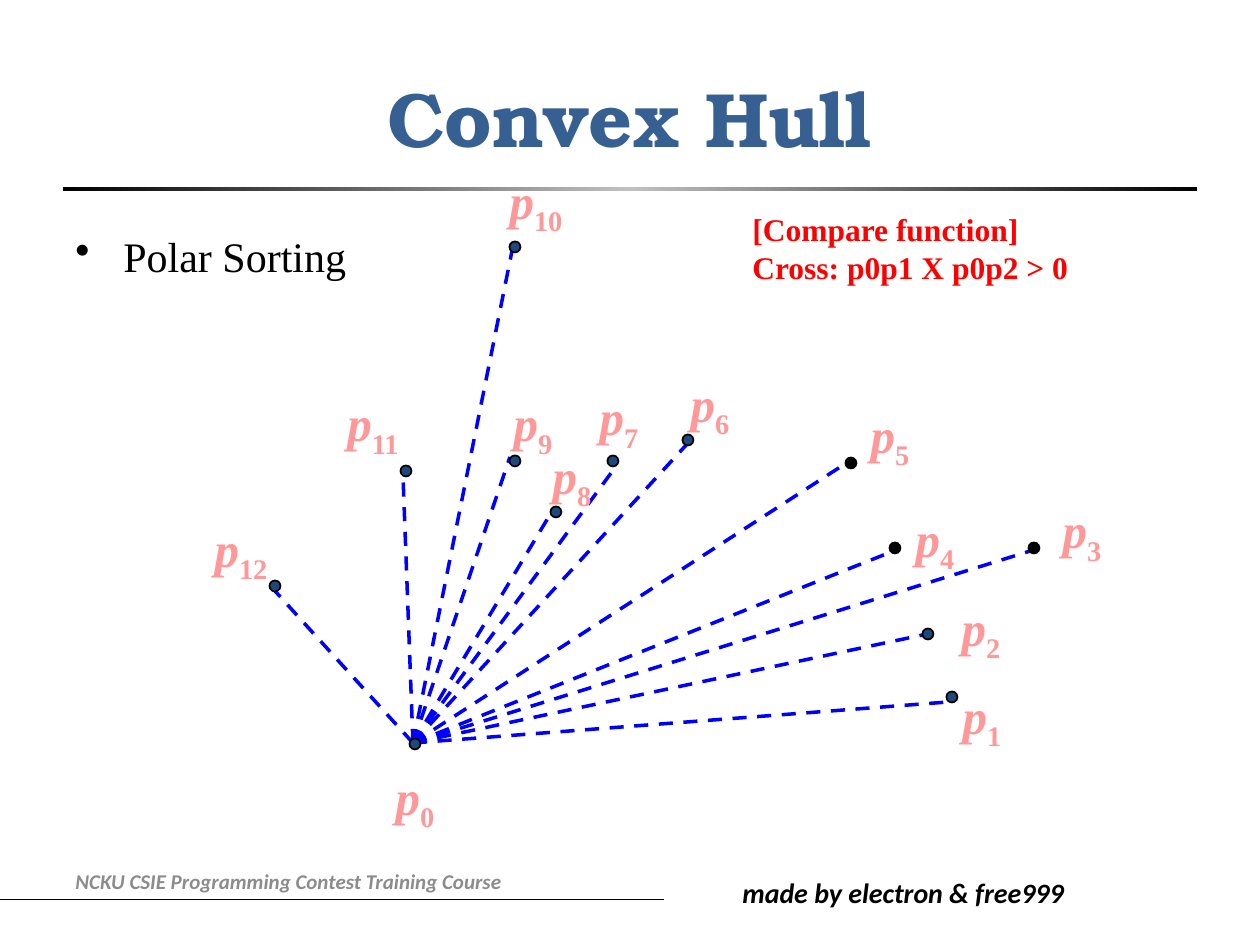
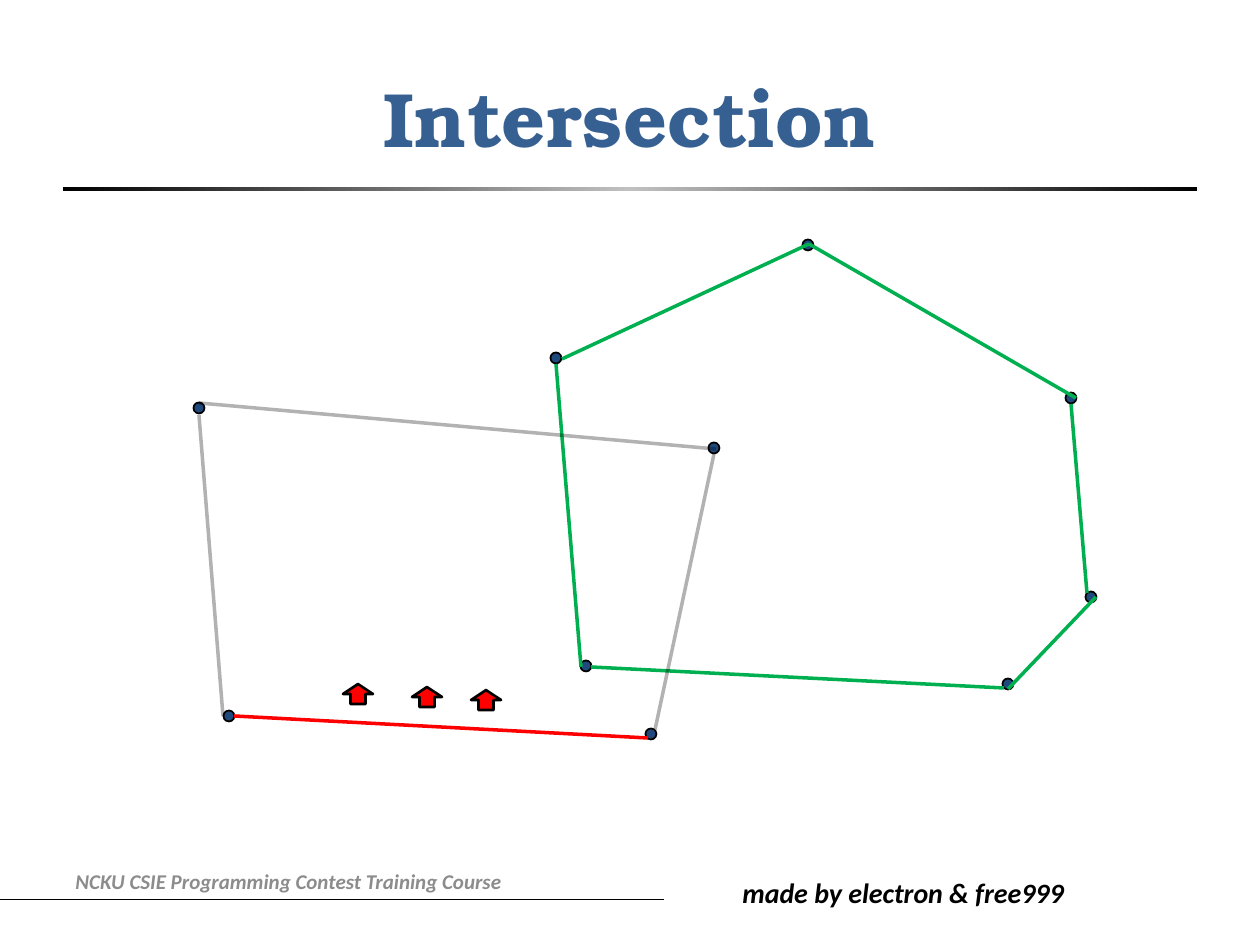
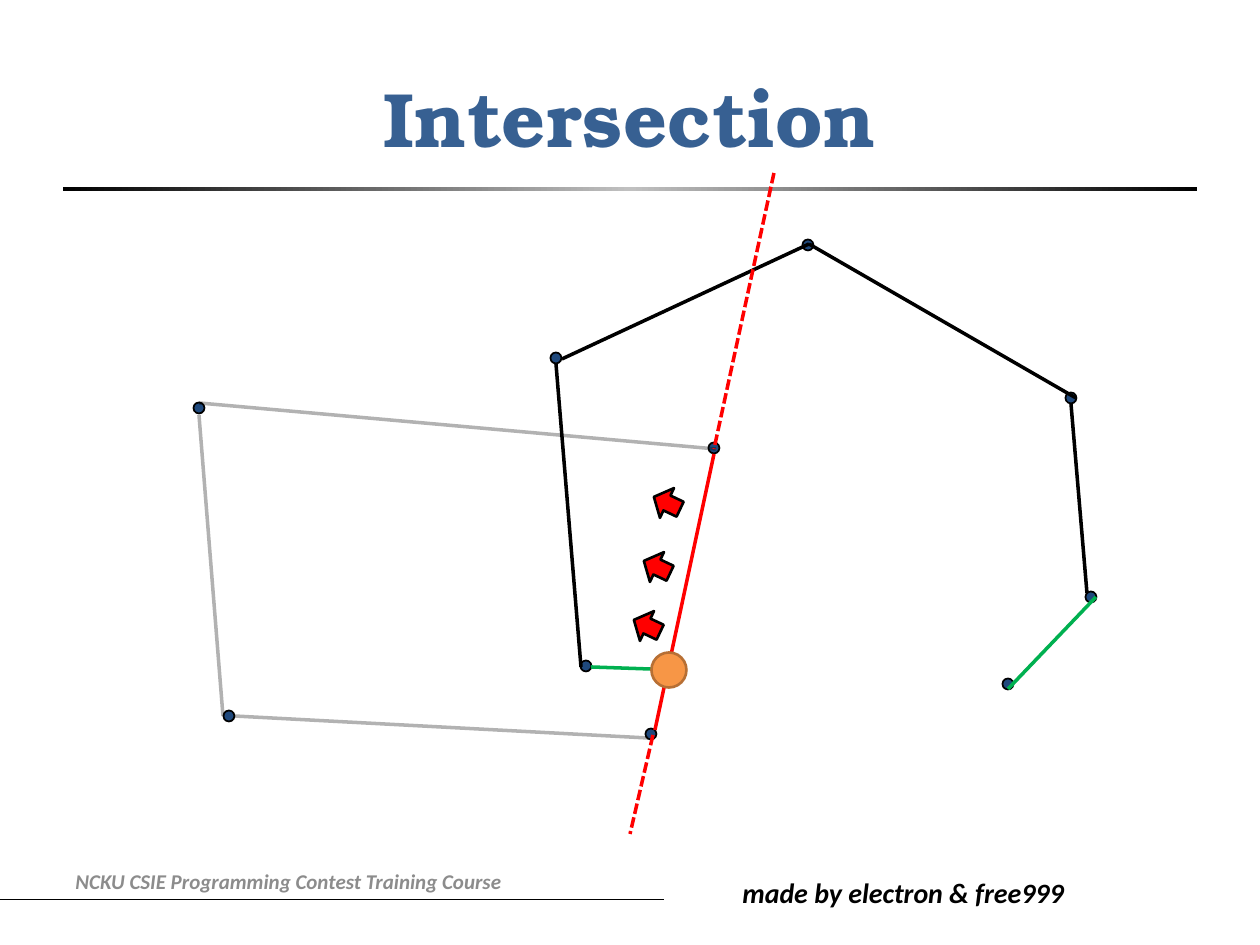
from dataclasses import dataclass

from lxml.etree import SubElement
from pptx import Presentation
from pptx.dml.color import RGBColor
from pptx.enum.dml import MSO_LINE_DASH_STYLE as Dash
from pptx.enum.shapes import MSO_CONNECTOR as Conn, MSO_SHAPE as Shape
from pptx.enum.text import MSO_ANCHOR as Anchor, PP_ALIGN as Align
from pptx.oxml.ns import qn
from pptx.util import Emu, Pt


@dataclass(frozen=True)
class Theme:
    title: str = "376092"
    ink: str = "000000"
    silver: str = "C0C0C0"
    footer: str = "8C8C8C"
    ray: str = "0000FF"
    dot: str = "1F497D"
    label: str = "FF9999"
    active: str = "FF0000"
    hull: str = "00B050"
    crossing: str = "F79646"
    crossing_line: str = "B76F34"
    title_font: str = "TeX Gyre Bonum"
    body_font: str = "Times New Roman"
    footer_font: str = "Calibri"
    title_size: int = 44
    label_size: int = 28
    body_size: int = 24
    note_size: int = 18
    credit_size: int = 16
    footer_size: int = 12


@dataclass(frozen=True)
class Box:
    x: int
    y: int
    w: int
    h: int

    def emu(self):
        return [px(v) for v in (self.x, self.y, self.w, self.h)]

    def at(self, x, y, w, h):
        return Box(self.x + x, self.y + y, w, h)

    def centred(self, point, w, h):
        return self.at(point[0] - w / 2, point[1] - h / 2, w, h)


T = Theme()
PAGE = Box(0, 0, 1260, 945)
TITLE = Box(63, 38, 1134, 158)
FOOTER = Box(0, 856, 1260, 60)
FIELD = Box(100, 100, 1060, 740)

ORIGIN = (313, 643)
ORIGIN_DOT = (315, 644)
ORIGIN_LABEL = (294, 666)
POLAR_POINTS = [
    ((848, 602), (852, 597), (861, 585), T.dot),
    ((832, 533), (828, 534), (860, 497), T.dot),
    ((940, 448), (934, 448), (961, 400), T.ink),
    ((791, 452), (795, 448), (814, 408), T.ink),
    ((748, 362), (751, 363), (769, 304), T.ink),
    ((589, 342), (588, 340), (589, 273), T.dot),
    ((517, 365), (513, 361), (498, 287), T.dot),
    ((451, 413), (456, 412), (451, 345), T.dot),
    ((410, 357), (415, 361), (412, 293), T.dot),
    ((412, 151), (415, 147), (407, 70), T.dot),
    ((303, 375), (306, 371), (244, 293), T.dot),
    ((175, 491), (175, 486), (112, 418), T.dot),
]

VERTICES = [
    (908, 584), (991, 497), (971, 298), (708, 145), (456, 258), (486, 566),
    (551, 634), (614, 348), (99, 308), (129, 616),
]
HULL_EDGES = {
    "bottom": ((491, 567), (904, 588)),
    "corner": ((996, 497), (908, 589)),
    "right": ((971, 304), (987, 493)),
    "upper right": ((709, 144), (976, 298)),
    "upper left": ((462, 259), (709, 144)),
    "left": ((456, 264), (481, 567)),
}
QUAD_EDGES = {
    "base": ((134, 616), (548, 638)),
    "side": ((614, 354), (555, 630)),
    "left": ((99, 315), (123, 616)),
    "top": ((616, 349), (99, 303)),
}
CROSSING = (569, 570)


def px(value):
    return Emu(round(value * 914400 / 126))


def rgb(value):
    return RGBColor.from_string(value)


def add_run(p, text, font=T.body_font, size=T.body_size, color=T.ink,
            bold=False, italic=False, baseline=0):
    r = p.add_run()
    r.text = text
    r.font.name, r.font.size = font, Pt(size)
    r.font.bold, r.font.italic = bold, italic
    r.font.color.rgb = rgb(color)
    if baseline:
        r.font._element.set("baseline", str(baseline * 1000))


def write(tf, text, align=Align.LEFT, anchor=Anchor.TOP, **fmt):
    tf.word_wrap = True
    tf.vertical_anchor = anchor
    for i, line in enumerate(text.split("\n")):
        p = tf.add_paragraph() if i else tf.paragraphs[0]
        p.alignment = align
        add_run(p, line, **fmt)


def add_text(s, box, text, **fmt):
    tf = s.shapes.add_textbox(*box.emu()).text_frame
    write(tf, text, **fmt)
    return tf


def add_bullet(p, indent):
    pPr = p._p.get_or_add_pPr()
    pPr.set("marL", str(px(indent)))
    pPr.set("indent", str(-px(indent)))
    SubElement(pPr, qn("a:buChar")).set("char", "•")


def add_figure(s, kind, box, fill, line=T.ink, width=1, rotation=0):
    sp = s.shapes.add_shape(kind, *box.emu())
    sp.shadow.inherit = False
    sp.fill.solid()
    sp.fill.fore_color.rgb = rgb(fill)
    sp.line.color.rgb = rgb(line)
    sp.line.width = Pt(width)
    sp.rotation = rotation


def add_line(s, box, start, end, color, width=2, dash=None, alpha=None):
    ends = (box.x + start[0], box.y + start[1], box.x + end[0], box.y + end[1])
    cx = s.shapes.add_connector(Conn.STRAIGHT, *[px(v) for v in ends])
    cx.line.color.rgb = rgb(color)
    cx.line.width = Pt(width)
    if dash:
        cx.line.dash_style = dash
    spPr = cx._element.spPr
    if alpha:
        clr = spPr.find(".//" + qn("a:srgbClr"))
        SubElement(clr, qn("a:alpha")).set("val", str(alpha * 1000))
    SubElement(spPr, qn("a:effectLst"))


def add_dot(s, box, centre, color=T.dot):
    add_figure(s, Shape.OVAL, box.centred(centre, 11, 11), color)


def add_rule(s, box):
    sp = s.shapes.add_shape(Shape.RECTANGLE, *box.emu())
    sp.shadow.inherit = False
    sp.line.fill.background()
    sp.fill.gradient()
    sp.fill.gradient_angle = 0
    stops = sp._element.spPr.find(".//" + qn("a:gsLst"))
    for gs in list(stops):
        stops.remove(gs)
    for pos, color in ((0, T.ink), (50, T.silver), (100, T.ink)):
        gs = SubElement(stops, qn("a:gs"))
        gs.set("pos", str(pos * 1000))
        SubElement(gs, qn("a:srgbClr")).set("val", color)


def add_header(s, box, text):
    sp = s.shapes.title
    sp.left, sp.top, sp.width, sp.height = box.emu()
    write(sp.text_frame, text, align=Align.CENTER, anchor=Anchor.MIDDLE,
          font=T.title_font, size=T.title_size, color=T.title, bold=True)
    add_rule(s, box.at(0, 149, box.w, 4))


def add_footer(s, box):
    style = dict(font=T.footer_font, bold=True, italic=True)
    add_line(s, box, (0, 43), (664, 43), T.ink, width=0.5)
    add_text(s, box.at(730, 13, 383, 47), "made by electron & free999",
             size=T.credit_size, **style)
    add_text(s, box.at(63, 0, 587, 50),
             "NCKU CSIE Programming Contest Training Course",
             anchor=Anchor.MIDDLE, size=T.footer_size, color=T.footer, **style)


def new_slide(prs, title):
    s = prs.slides.add_slide(prs.slide_layouts[5])
    add_header(s, TITLE, title)
    add_footer(s, FOOTER)
    return s


def add_label(s, box, corner, index):
    width = 42 if index < 10 else 58
    style = dict(size=T.label_size, color=T.label, bold=True)
    tf = add_text(s, box.at(*corner, width, 59), "p", align=Align.CENTER,
                  italic=True, **style)
    tf.word_wrap = False
    tf.margin_left = tf.margin_right = tf.margin_top = tf.margin_bottom = 0
    add_run(tf.paragraphs[0], str(index), baseline=-25, **style)


def add_polar_fan(s, box):
    for end, _, _, _ in POLAR_POINTS:
        add_line(s, box, ORIGIN, end, T.ray, dash=Dash.DASH)
    points = [(ORIGIN, ORIGIN_DOT, ORIGIN_LABEL, T.dot)] + POLAR_POINTS
    for index, (_, centre, corner, color) in enumerate(points):
        add_dot(s, box, centre, color)
        add_label(s, box, corner, index)


def add_polygons(s, box, hull, active, hull_color):
    for centre in VERTICES:
        add_dot(s, box, centre)
    for name, (start, end) in hull.items():
        add_line(s, box, start, end, hull_color.get(name, T.ink))
    for name, (start, end) in QUAD_EDGES.items():
        if name == active:
            add_line(s, box, start, end, T.active)
        else:
            add_line(s, box, start, end, T.ink, alpha=30)


def add_arrows(s, box, centres, w, h, rotation=0):
    for centre in centres:
        add_figure(s, Shape.UP_ARROW, box.centred(centre, w, h), T.active,
                   width=1.5, rotation=rotation)


def polar_slide(prs, box):
    s = new_slide(prs, "Convex Hull")
    tf = add_text(s, box.at(-37, 124, 1134, 616), "Polar Sorting",
                  align=Align.JUSTIFY)
    add_bullet(tf.paragraphs[0], 48)
    add_polar_fan(s, box)
    add_text(s, box.at(640, 104, 496, 89),
             "[Compare function]\nCross: p0p1 X p0p2 > 0",
             size=T.note_size, color=T.active, bold=True)


def base_cut_slide(prs, box):
    s = new_slide(prs, "Intersection")
    add_polygons(s, box, HULL_EDGES, "base", dict.fromkeys(HULL_EDGES, T.hull))
    add_arrows(s, box, [(258, 594), (327, 597), (386, 600)], 30, 20)


def side_cut_slide(prs, box):
    s = new_slide(prs, "Intersection")
    hull = {**HULL_EDGES, "bottom": (HULL_EDGES["bottom"][0], (579, 570))}
    add_polygons(s, box, hull, "side", dict.fromkeys(("bottom", "corner"), T.hull))
    add_arrows(s, box, [(547, 526), (557, 467), (567, 403)], 33, 29, 295.2)
    for start, end in (((674, 73), (614, 349)), ((553, 635), (530, 734))):
        add_line(s, box, start, end, T.active, dash=Dash.SQUARE_DOT)
        s.shapes[-1].line.dash_style = Dash.SQUARE_DOT
        s.shapes[-1]._element.spPr.find(".//" + qn("a:prstDash")).set("val", "sysDash")
    add_figure(s, Shape.OVAL, box.centred(CROSSING, 35, 35), T.crossing,
               T.crossing_line, 1.5)


def main():
    prs = Presentation()
    prs.slide_width, prs.slide_height = px(PAGE.w), px(PAGE.h)
    polar_slide(prs, FIELD)
    base_cut_slide(prs, FIELD)
    side_cut_slide(prs, FIELD)
    prs.save("out.pptx")


if __name__ == "__main__":
    main()
